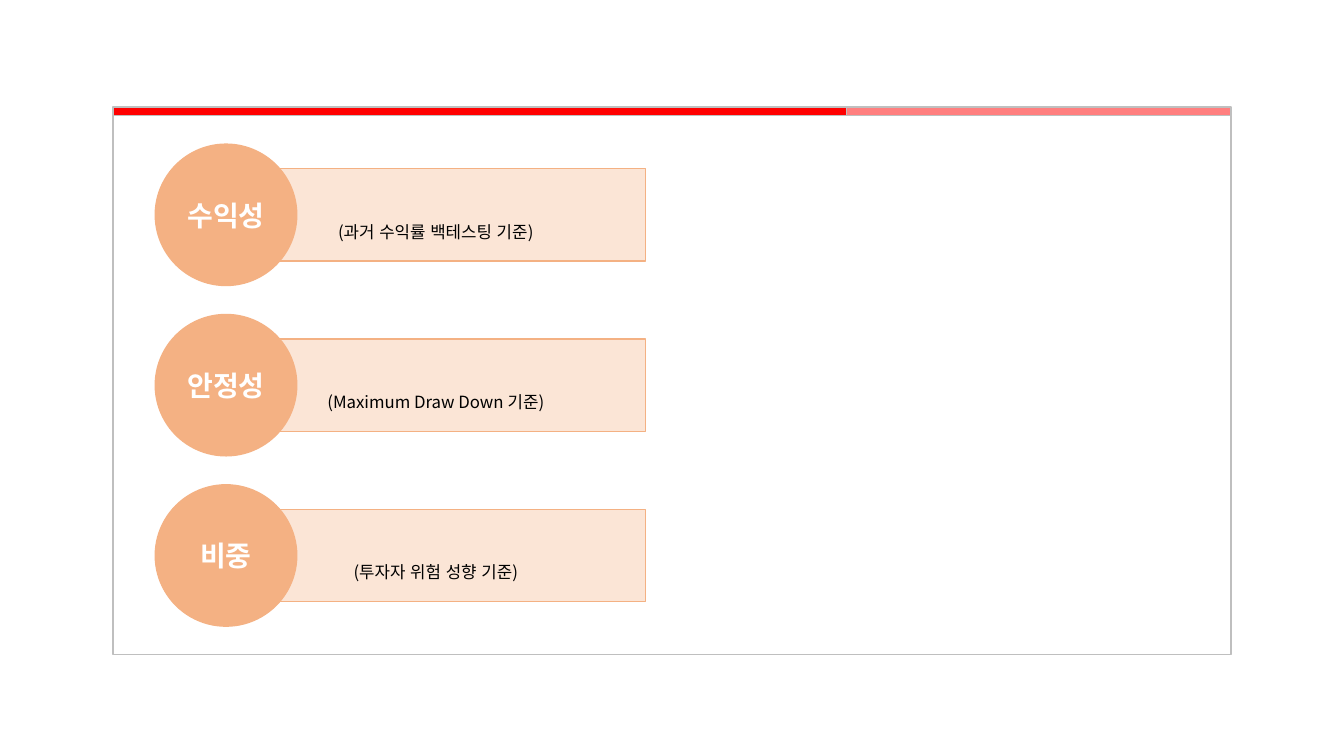
from lxml.etree import SubElement
from pptx import Presentation
from pptx.dml.color import RGBColor
from pptx.enum.lang import MSO_LANGUAGE_ID
from pptx.enum.shapes import MSO_SHAPE
from pptx.enum.text import MSO_ANCHOR, PP_ALIGN
from pptx.oxml.ns import qn
from pptx.util import Inches, Pt

COLORS = {
    "white": "FFFFFF", "border": "BFBFBF", "red": "FF0000",
    "peach": "F4B183", "cream": "FBE5D6", "black": "000000",
}
FONT = "Noto Sans CJK KR"


class SlideBuilder:
    """Draws on one slide; lengths are percentages of its width and height."""

    def __init__(self, deck):
        self.width, self.height = deck.slide_width, deck.slide_height
        self.slide = deck.slides.add_slide(deck.slide_layouts[6])

    def shape(self, kind, left, top, width, height, fill, line, opacity=100):
        item = self.slide.shapes.add_shape(
            kind, int(self.width * left / 100), int(self.height * top / 100),
            int(self.width * width / 100), int(self.height * height / 100))
        item.shadow.inherit = False
        item.fill.solid()
        item.fill.fore_color.rgb = RGBColor.from_string(COLORS[fill])
        if opacity < 100:
            color = item.fill._xPr.find(qn("a:solidFill"))[0]
            SubElement(color, qn("a:alpha"), val=str(opacity * 1000))
        item.line.color.rgb = RGBColor.from_string(COLORS[line])
        item.line.width = Pt(1)
        return item

    def rectangle(self, *place, **style):
        return self.shape(MSO_SHAPE.RECTANGLE, *place, **style)

    def circle(self, *place, **style):
        return self.shape(MSO_SHAPE.OVAL, *place, **style)

    def label(self, item, text, size, color, bold=False, top_inset=0.05):
        frame = item.text_frame
        frame.text = text
        frame.word_wrap = True
        frame.vertical_anchor = MSO_ANCHOR.MIDDLE
        frame.margin_top = Inches(top_inset)
        paragraph = frame.paragraphs[0]
        paragraph.alignment = PP_ALIGN.CENTER
        for run in paragraph.runs:
            run.font.name, run.font.size, run.font.bold = FONT, Pt(size), bold
            run.font.language_id = MSO_LANGUAGE_ID.KOREAN
            run.font.color.rgb = RGBColor.from_string(COLORS[color])
            SubElement(run.font._element, qn("a:ea"), typeface=FONT)


deck = Presentation()
deck.slide_width, deck.slide_height = Inches(13.33), Inches(7.5)
page = SlideBuilder(deck)

# Framed panel with a two-part header strip
PANEL_LEFT, PANEL_WIDTH, STRIP_TOP, STRIP_HEIGHT = 8.4, 83.2, 14.13, 1.15
RED_WIDTH = 54.6
page.rectangle(PANEL_LEFT, STRIP_TOP + STRIP_HEIGHT, PANEL_WIDTH, 71.33,
               fill="white", line="border")
page.rectangle(PANEL_LEFT, STRIP_TOP, RED_WIDTH, STRIP_HEIGHT,
               fill="red", line="border")
page.rectangle(PANEL_LEFT + RED_WIDTH, STRIP_TOP, PANEL_WIDTH - RED_WIDTH,
               STRIP_HEIGHT, fill="red", line="border", opacity=50)

# Criteria: each bar starts at the centre of its circle
CRITERIA = [
    ("수익성", "(과거 수익률 백테스팅 기준)"),
    ("안정성", "(Maximum Draw Down 기준)"),
    ("비중", "(투자자 위험 성향 기준)"),
]
CIRCLE_LEFT, CIRCLE_WIDTH, CIRCLE_HEIGHT = 11.55, 10.53, 18.7
FIRST_TOP, ROW_PITCH = 19.07, 22.53
BAR_WIDTH, BAR_HEIGHT = 31.23, 12.2

for row, (criterion, basis) in enumerate(CRITERIA):
    top = FIRST_TOP + row * ROW_PITCH
    basis_bar = page.rectangle(
        CIRCLE_LEFT + CIRCLE_WIDTH / 2, top + (CIRCLE_HEIGHT - BAR_HEIGHT) / 2,
        BAR_WIDTH, BAR_HEIGHT, fill="cream", line="peach")
    page.label(basis_bar, basis, 12, "black", top_inset=0.38)
    criterion_circle = page.circle(
        CIRCLE_LEFT, top, CIRCLE_WIDTH, CIRCLE_HEIGHT, fill="peach", line="peach")
    page.label(criterion_circle, criterion, 20, "white", bold=True)

deck.save("out.pptx")
